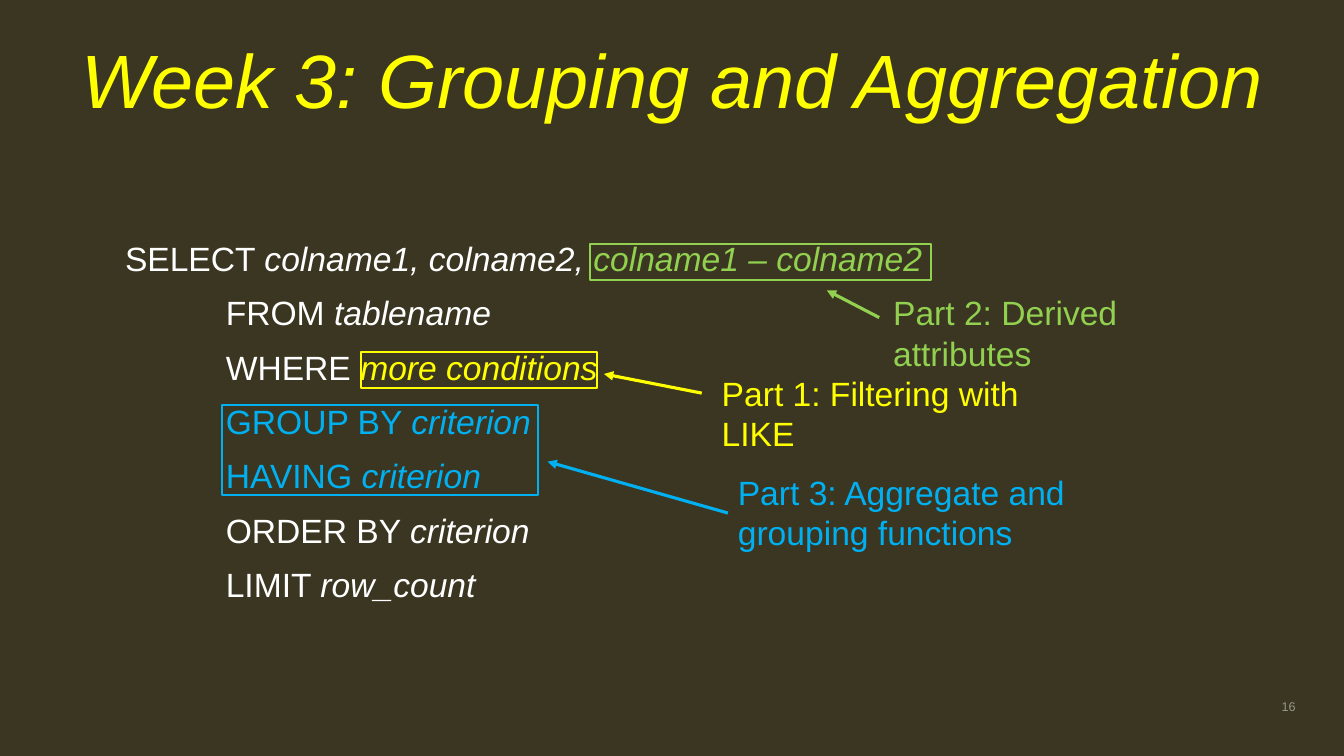
from lxml import etree
from pptx import Presentation
from pptx.dml.color import RGBColor
from pptx.enum.shapes import MSO_CONNECTOR, MSO_SHAPE
from pptx.enum.text import MSO_ANCHOR, PP_ALIGN
from pptx.oxml.ns import qn
from pptx.util import Inches, Pt

RECT, STRAIGHT = MSO_SHAPE.RECTANGLE, MSO_CONNECTOR.STRAIGHT
TOP, MIDDLE = MSO_ANCHOR.TOP, MSO_ANCHOR.MIDDLE
LEFT, CENTER, RIGHT = PP_ALIGN.LEFT, PP_ALIGN.CENTER, PP_ALIGN.RIGHT

THEME = {
    "font": "Arial",
    "bg": "3A3621", "white": "FFFFFF", "yellow": "FFFF00",
    "green": "92D050", "blue": "00B0F0", "number": "E2E7E8",
    "title_size": 54, "body_size": 24, "number_size": 9,
    "box_line": 1.5, "arrow_line": 2.25,
}


def color(name):
    return RGBColor.from_string(THEME[name])


def add_text(box, paragraphs, size, margins=(0, 0, 0, 0), anchor=TOP, **para_format):
    """Add a text box; each paragraph is a list of (text, color, italic)."""
    tf = s.shapes.add_textbox(*map(Inches, box)).text_frame
    frame = dict(zip(("margin_left", "margin_top", "margin_right", "margin_bottom"),
                     map(Inches, margins)))
    frame.update(word_wrap=True, vertical_anchor=anchor)
    for key, value in frame.items():
        setattr(tf, key, value)
    for i, runs in enumerate(paragraphs):
        p = tf.paragraphs[0] if i == 0 else tf.add_paragraph()
        for key, value in para_format.items():
            setattr(p, key, value)
        for text, name, italic in runs:
            r = p.add_run()
            r.text = text
            font = {"name": THEME["font"], "size": Pt(THEME[size]), "italic": italic}
            for key, value in font.items():
                setattr(r.font, key, value)
            r.font.color.rgb = color(name)
    return tf


prs = Presentation()
prs.slide_width, prs.slide_height = Inches(13.33), Inches(7.5)
s = prs.slides.add_slide(prs.slide_layouts[6])
s.background.fill.solid()
s.background.fill.fore_color.rgb = color("bg")

# Title
add_text((0.49, 0.43, 12.36, 1.25),
         [[("Week 3: Grouping and Aggregation", "yellow", True)]],
         "title_size", alignment=CENTER, line_spacing=0.9)

# Slide number, partly transparent
tf = add_text((11.2, 6.73, 1.65, 0.55), [[("16", "number", False)]],
              "number_size", anchor=MIDDLE, alignment=RIGHT)
for clr in tf._txBody.iter(qn("a:srgbClr")):
    etree.SubElement(clr, qn("a:alpha")).set("val", "55000")

# Query: keyword and argument on each line
query = [
    [("SELECT ", "white", False), ("colname1, colname2, ", "white", True),
     ("colname1 – colname2", "green", True)],
    [("FROM ", "white", False), ("tablename", "white", True)],
    [("WHERE ", "white", False), ("more conditions", "yellow", True)],
    [("GROUP BY ", "blue", False), ("criterion", "blue", True)],
    [("HAVING ", "blue", False), ("criterion", "blue", True)],
    [("ORDER BY ", "white", False), ("criterion", "white", True)],
    [("LIMIT ", "white", False), ("row_count", "white", True)],
]
tf = add_text((1.24, 2.36, 10.16, 4.37), query, "body_size",
              margins=(0, 0, 0.1, 0), alignment=LEFT, space_before=Pt(10))
for p in tf.paragraphs[1:]:
    p._p.get_or_add_pPr().set("marL", str(Inches(1)))

# Parts: frame in the query, arrow towards it, label
parts = [
    ("yellow", (3.58, 3.49, 2.34, 0.36), (6.96, 3.9, 5.99, 3.71),
     "Part 1: Filtering with LIKE", (7.06, 3.65, 3.72, 0.5)),
    ("blue", (2.2, 4.02, 3.14, 0.89), (7.22, 5.09, 5.43, 4.58),
     "Part 3: Aggregate and grouping functions", (7.22, 4.63, 4.03, 0.91)),
    ("green", (5.85, 2.42, 3.38, 0.36), (8.72, 3.15, 8.2, 2.88),
     "Part 2: Derived attributes", (8.76, 2.85, 3.72, 0.5)),
]
for name, frame, arrow, label, label_box in parts:
    sp = s.shapes.add_shape(RECT, *map(Inches, frame))
    sp.shadow.inherit = False
    sp.fill.background()
    sp.line.color.rgb = color(name)
    sp.line.width = Pt(THEME["box_line"])

    cxn = s.shapes.add_connector(STRAIGHT, *map(Inches, arrow))
    cxn.line.color.rgb = color(name)
    cxn.line.width = Pt(THEME["arrow_line"])
    etree.SubElement(cxn.line._get_or_add_ln(), qn("a:tailEnd")).set("type", "triangle")
    etree.SubElement(cxn._element.spPr, qn("a:effectLst"))

    add_text(label_box, [[(label, name, False)]], "body_size",
             margins=(0.1, 0.05, 0.1, 0.05), alignment=LEFT)

prs.save("out.pptx")
